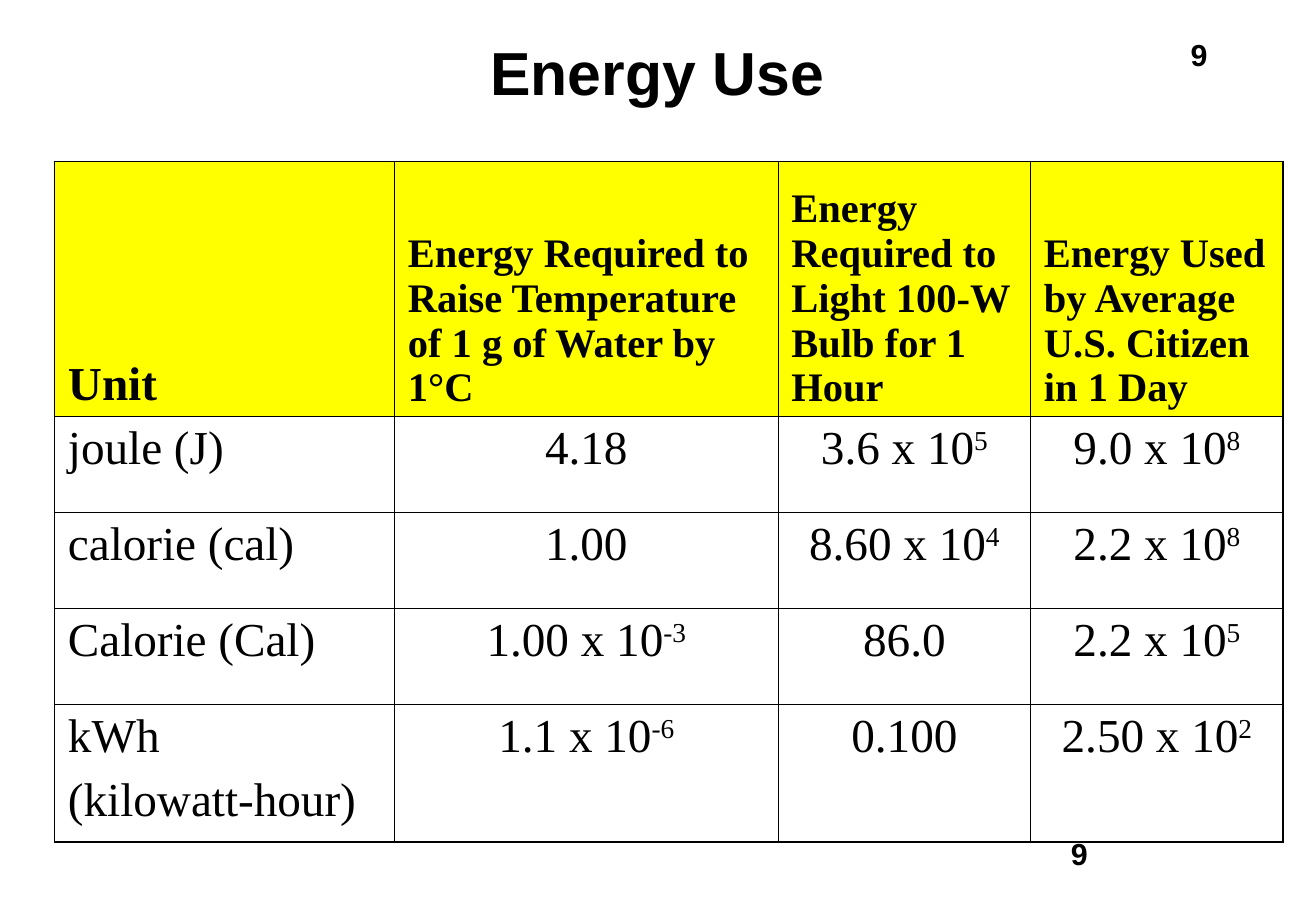
from lxml.etree import SubElement
from pptx import Presentation
from pptx.dml.color import RGBColor
from pptx.enum.text import MSO_ANCHOR, PP_ALIGN
from pptx.oxml.ns import qn
from pptx.util import Inches, Pt

BLACK, YELLOW = "000000", "FFFF00"
THIN, THICK = 0.45, 1.08


def write(para, text, size, bold, face):
    """Add text as runs; what follows a ^ is raised."""
    for i, part in enumerate(text.split("^")):
        run = para.add_run()
        run.text = part
        font = run.font
        font.name, font.size, font.bold = face, Pt(size), bold
        font.color.rgb = RGBColor.from_string(BLACK)
        if i:
            run._r.get_or_add_rPr().set("baseline", "30000")


def edge(cell, side, width):
    """Draw one side (L, R, T or B) of a cell."""
    line = SubElement(cell._tc.get_or_add_tcPr(), qn("a:ln" + side), w=str(Pt(width)))
    fill = SubElement(line, qn("a:solidFill"))
    SubElement(fill, qn("a:srgbClr"), val=BLACK)


deck = Presentation()
deck.slide_width, deck.slide_height = Inches(10.84), Inches(7.5)
slide = deck.slides.add_slide(deck.slide_layouts[6])

# Page numbers and title
labels = [
    ("9", (9.71, 0.25, 1.1, 0.4), 18, PP_ALIGN.LEFT, MSO_ANCHOR.TOP),
    ("9", (7.76, 6.83, 2.26, 0.5), 18, PP_ALIGN.CENTER, MSO_ANCHOR.TOP),
    ("Energy Use", (0.81, 0, 9.21, 1.25), 36, PP_ALIGN.CENTER, MSO_ANCHOR.MIDDLE),
]
for text, place, size, align, anchor in labels:
    frame = slide.shapes.add_textbox(*map(Inches, place)).text_frame
    frame.word_wrap = True
    frame.vertical_anchor = anchor
    para = frame.paragraphs[0]
    para.alignment = align
    if size == 36:
        para.line_spacing = 0.9
    write(para, text, size, True, "Arial")

# Energy table
rows = [
    ["Unit", "Energy Required to Raise Temperature of 1 g of Water by 1°C",
     "Energy Required to Light 100-W Bulb for 1 Hour",
     "Energy Used by Average U.S. Citizen in 1 Day"],
    ["joule (J)", "4.18", "3.6 x 10^5", "9.0 x 10^8"],
    ["calorie (cal)", "1.00", "8.60 x 10^4", "2.2 x 10^8"],
    ["Calorie (Cal)", "1.00 x 10^-3", "86.0", "2.2 x 10^5"],
    ["kWh\n(kilowatt-hour)", "1.1 x 10^-6", "0.100", "2.50 x 10^2"],
]
widths = [2.8, 3.16, 2.08, 2.08]
heights = [2.1] + [0.79] * 3 + [1.13]
table = slide.shapes.add_table(
    len(rows), len(widths), Inches(0.45), Inches(1.33),
    Inches(sum(widths)), Inches(sum(heights))).table
for col, width in zip(table.columns, widths):
    col.width = Inches(width)
for row, height in zip(table.rows, heights):
    row.height = Inches(height)

for r, texts in enumerate(rows):
    for c, text in enumerate(texts):
        cell = table.cell(r, c)
        head = r == 0
        cell.margin_left = cell.margin_right = Inches(0.11)
        cell.margin_top = cell.margin_bottom = Inches(0.05)
        cell.vertical_anchor = MSO_ANCHOR.BOTTOM if head else MSO_ANCHOR.TOP
        outer = {"L": c == 0, "R": c == len(widths) - 1,
                 "T": head, "B": r == len(rows) - 1}
        for side, thick in outer.items():
            edge(cell, side, THICK if thick else THIN)
        if head:
            cell.fill.solid()
            cell.fill.fore_color.rgb = RGBColor.from_string(YELLOW)
        else:
            cell.fill.background()
        frame = cell.text_frame
        for i, line in enumerate(text.split("\n")):
            para = frame.add_paragraph() if i else frame.paragraphs[0]
            if i:
                para.space_before = Pt(7)
            para.alignment = PP_ALIGN.LEFT if head or c == 0 else PP_ALIGN.CENTER
            write(para, line, 24 if head and c else 28, head, "Times New Roman")

deck.save("out.pptx")
